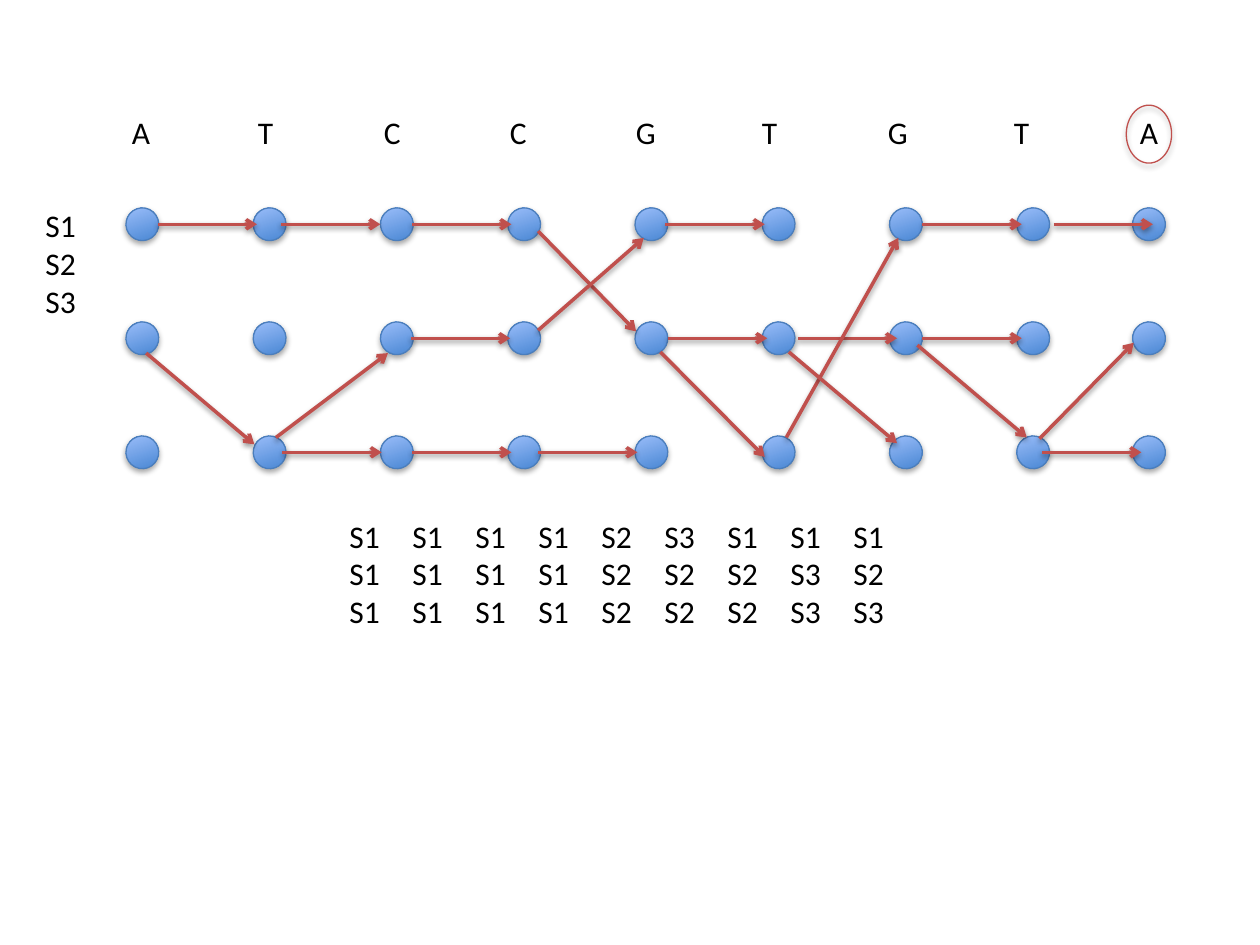
from dataclasses import dataclass
from lxml.etree import SubElement
from pptx import Presentation
from pptx.dml.color import RGBColor as RGB
from pptx.enum.shapes import MSO_CONNECTOR as CONN, MSO_SHAPE as SHAPE
from pptx.oxml.ns import qn
from pptx.util import Inches, Pt


@dataclass(frozen=True)
class Theme:
    font: str = "Calibri"
    size: float = 18
    text: str = "000000"
    node_dark: str = "3F80CE"
    node_light: str = "A4C4FF"
    node_line: str = "4B7EBC"
    accent: str = "C0504D"
    thin: float = 0.75
    thick: float = 2


@dataclass(frozen=True)
class Grid:
    left: float = 1.13
    top: float = 1.78
    col: float = 1.01
    row: float = 1.81 / 2

    def at(self, col, row):
        return Inches(self.left + col * self.col), Inches(self.top + row * self.row)


class Diagram:
    def __init__(self, slide, theme, grid):
        self.shapes, self.theme, self.grid = slide.shapes, theme, grid

    def shadow(self, effects, dist, alpha):
        sh = SubElement(effects, qn("a:outerShdw"), blurRad="40000", dist=str(dist),
                        dir="5400000", rotWithShape="0")
        color = SubElement(sh, qn("a:srgbClr"), val="000000")
        SubElement(color, qn("a:alpha"), val=str(alpha * 1000))

    def line(self, s, color, width):
        s.line.color.rgb = RGB.from_string(color)
        s.line.width = Pt(width)

    def ellipse(self, shapes, col, row, width, height, color):
        x, y = self.grid.at(col, row)
        w, h = Inches(width), Inches(height)
        s = shapes.add_shape(SHAPE.OVAL, x - w // 2, y - h // 2, w, h)
        self.line(s, color, self.theme.thin)
        s.shadow.inherit = False
        self.shadow(s._element.spPr.find(qn("a:effectLst")), 23000, 35)
        return s

    def node_column(self, col, rows):
        group = self.shapes.add_group_shape()
        for row in range(rows):
            s = self.ellipse(group.shapes, col, row, 0.26, 0.26, self.theme.node_line)
            s.rotation = 341
            s.fill.gradient()
            s.fill.gradient_angle = 90
            colors = self.theme.node_dark, self.theme.node_light
            for stop, color in zip(s.fill.gradient_stops, colors):
                stop.color.rgb = RGB.from_string(color)

    def ring(self, col, row):
        s = self.ellipse(self.shapes, col, row, 0.36, 0.46, self.theme.accent)
        s.fill.background()

    def arrow(self, start, end):
        s = self.shapes.add_connector(CONN.STRAIGHT, *self.grid.at(*start), *self.grid.at(*end))
        self.line(s, self.theme.accent, self.theme.thick)
        SubElement(s.line._get_or_add_ln(), qn("a:tailEnd"), type="arrow")
        self.shadow(SubElement(s._element.spPr, qn("a:effectLst")), 20000, 38)

    def text(self, lines, col, row, cols, rows, wrap=True):
        w, h = Inches(cols * self.grid.col), Inches(rows * self.grid.row)
        tf = self.shapes.add_textbox(*self.grid.at(col, row), w, h).text_frame
        tf.word_wrap = wrap
        for i, line in enumerate(lines):
            p = tf.add_paragraph() if i else tf.paragraphs[0]
            r = p.add_run()
            r.text = line
            r.font.name, r.font.size = self.theme.font, Pt(self.theme.size)
            r.font.color.rgb = RGB.from_string(self.theme.text)


SEQUENCE = "ATCCGTGTA"
STATES = ["S1", "S2", "S3"]
PATHS = ["111123111", "111122232", "111122233"]
LAST_COL = 7.91
STEP = 0.78
STRAIGHT_STARTS = [
    [0.12, 1.09, 2.12, 4.11, 6.13, 7.16],
    [2.11, 4.13, 5.15, 6.13],
    [1.1, 2.12, 3.11, 7.07],
]
DIAGONALS = [
    ((0.03, 1.13), (0.88, 1.93)),
    ((1.05, 1.87), (1.93, 1.13)),
    ((3.11, 0.06), (3.88, 0.94)),
    ((3.11, 0.93), (3.94, 0.12)),
    ((4.07, 1.12), (4.89, 2.04)),
    ((5.06, 1.87), (5.94, 0.12)),
    ((5.08, 1.12), (5.93, 1.92)),
    ((6.09, 1.06), (6.95, 1.87)),
    ((7.05, 1.88), (7.79, 1.04)),
]

prs = Presentation()
prs.slide_width, prs.slide_height = Inches(10), Inches(7.5)
d = Diagram(prs.slides.add_slide(prs.slide_layouts[6]), Theme(), Grid())

d.text(["\t\t".join(SEQUENCE)], -0.18, -1.03, 8.5, 0.78)
d.text(STATES, -0.86, -0.21, 0.5, 2.45, wrap=False)
for col in [*range(len(SEQUENCE) - 1), LAST_COL]:
    d.node_column(col, len(STATES))
d.ring(LAST_COL, -0.79)
d.text(["\t".join(f"S{n}" for n in path) for path in PATHS], 1.53, 2.51, 5.79, 1.12)
for row, starts in enumerate(STRAIGHT_STARTS):
    for col in starts:
        d.arrow((col, row), (col + STEP, row))
for start, end in DIAGONALS:
    d.arrow(start, end)

prs.save("out.pptx")
